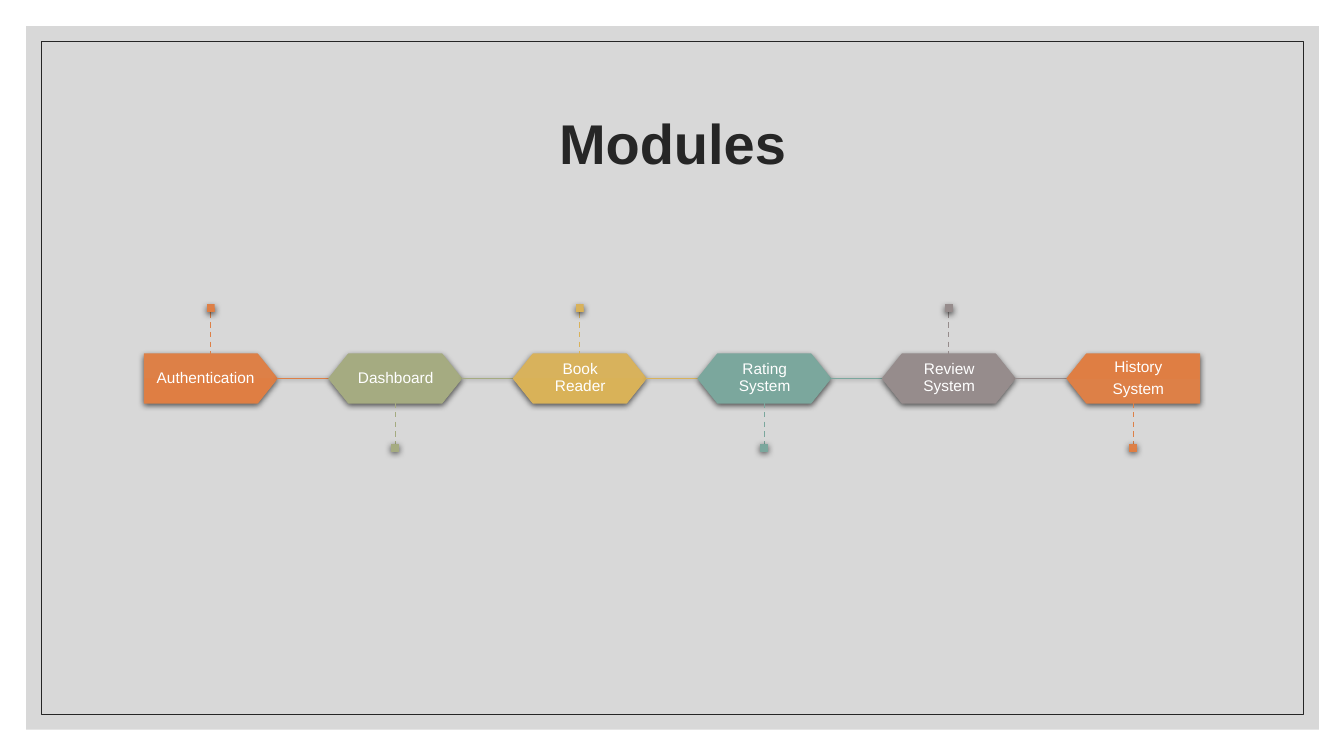
import pptx
import pptx.util
import pptx.dml.color
import pptx.enum.dml
import pptx.enum.shapes
import pptx.enum.text
import pptx.oxml
import pptx.oxml.ns

Inches, Pt = pptx.util.Inches, pptx.util.Pt
SHAPE = pptx.enum.shapes.MSO_SHAPE
STRAIGHT = pptx.enum.shapes.MSO_CONNECTOR.STRAIGHT
ALIGN = pptx.enum.text.PP_ALIGN
MIDDLE = pptx.enum.text.MSO_ANCHOR.MIDDLE


def color(hex_value):
    return pptx.dml.color.RGBColor.from_string(hex_value)


def set_effect(part, blur=0, distance=0):
    """Replace the theme shadow by a downward one, or by none when blur is 0."""
    properties = part._element.spPr
    for old in properties.findall(pptx.oxml.ns.qn("a:effectLst")):
        properties.remove(old)
    shadow = (f'<a:outerShdw blurRad="{Pt(blur)}" dist="{Pt(distance)}" dir="5400000" '
              'algn="ctr" rotWithShape="0"><a:srgbClr val="000000">'
              '<a:alpha val="63000"/></a:srgbClr></a:outerShdw>') if blur else ""
    properties.append(pptx.oxml.parse_xml(
        f'<a:effectLst {pptx.oxml.ns.nsdecls("a")}>{shadow}</a:effectLst>'))


deck = pptx.Presentation()
deck.slide_width, deck.slide_height = Inches(13.33), Inches(7.5)
slide = deck.slides.add_slide(deck.slide_layouts[5])
shapes = slide.shapes

# Title
title = shapes.title
title.left, title.top, title.width, title.height = map(Inches, (1.17, 0.7, 11, 1.5))
title.text_frame.text = "Modules"
title.text_frame.vertical_anchor = MIDDLE
heading = title.text_frame.paragraphs[0]
heading.alignment, heading.line_spacing = ALIGN.CENTER, 0.9
heading_format = {"name": "Arial", "size": Pt(40), "bold": True}
for key, value in heading_format.items():
    setattr(heading.font, key, value)
heading.font.color.rgb = color("262626")

# Grey panel and thin frame, behind the title
panel = shapes.add_shape(SHAPE.RECTANGLE, *map(Inches, (0.26, 0.26, 12.82, 6.98)))
panel.fill.solid()
panel.fill.fore_color.rgb = color("BFBFBF")
panel_color = panel._element.spPr.find(".//" + pptx.oxml.ns.qn("a:srgbClr"))
panel_color.append(pptx.oxml.parse_xml(
    f'<a:alpha {pptx.oxml.ns.nsdecls("a")} val="60000"/>'))
panel.line.fill.background()
frame = shapes.add_shape(SHAPE.RECTANGLE, *map(Inches, (0.41, 0.41, 12.52, 6.68)))
frame.fill.background()
frame.line.color.rgb = color("262626")
frame.line.width = Pt(0.5)
for backdrop in (panel, frame):
    backdrop.shadow.inherit = False
    title._element.addprevious(backdrop._element)

# Chain of modules: label, top colour, bottom colour
modules = [
    ("Authentication", "DD8047", "DF7E43"),
    ("Dashboard", "A5AB81", "A4AB7F"),
    ("Book Reader", "D8B25C", "D9B258"),
    ("Rating System", "7BA79D", "79A79C"),
    ("Review System", "968C8C", "958B8B"),
    ("History\nSystem", "DD8047", "DF7E43"),
]
FIRST_LEFT, PITCH = 1.43, 1.83
TOP, WIDTH, HEIGHT = 3.51, 1.32, 0.49
MID, PIN_LENGTH, PIN_HEAD = 3.75, 0.41, 0.08
LAST = len(modules) - 1
label_format = {"name": "Arial", "size": Pt(11)}

for index, (label, top_color, bottom_color) in enumerate(modules):
    left = FIRST_LEFT + index * PITCH
    center = left + WIDTH / 2
    at_end = index in (0, LAST)

    # Module block
    block = shapes.add_shape(SHAPE.PENTAGON if at_end else SHAPE.HEXAGON,
                             *map(Inches, (left, TOP, WIDTH, HEIGHT)))
    block.adjustments[0] = 0.4
    block.rotation = 180 if index == LAST else 0
    block.line.color.rgb = color(top_color)
    block.line.width = Pt(0.5)

    # Label
    if at_end:
        label_area = (left + (0.1 if index else 0), TOP, 1.22, HEIGHT)
    else:
        label_area = (left + 0.18, 3.57, 0.97, 0.36)
    label_box = shapes.add_textbox(*map(Inches, label_area)).text_frame
    label_box.text = label
    label_box.word_wrap = True
    label_box.vertical_anchor = MIDDLE
    for side in ("left", "top", "right", "bottom"):
        setattr(label_box, "margin_" + side, Inches(0.09))
    for line in label_box.paragraphs:
        line.alignment, line.line_spacing, line.space_after = ALIGN.CENTER, 0.9, Pt(4)
        for key, value in label_format.items():
            setattr(line.font, key, value)
        line.font.color.rgb = color("FFFFFF")

    # Link to the next module
    if index < LAST:
        link = shapes.add_connector(STRAIGHT, *map(
            Inches, (left + WIDTH, MID, left + PITCH, MID)))
        link.line.color.rgb = color(top_color)
        link.line.width = Pt(0.5)
        set_effect(link, 3, 1)

    # Dashed pin, alternately above and below
    pin_top = TOP + HEIGHT - 0.01 if index % 2 else TOP - PIN_LENGTH
    pin = shapes.add_connector(STRAIGHT, *map(
        Inches, (center, pin_top, center, pin_top + PIN_LENGTH)))
    pin.line.color.rgb = color(top_color)
    pin.line.width = Pt(1)
    pin.line.dash_style = pptx.enum.dml.MSO_LINE.DASH
    set_effect(pin)
    head_top = pin_top + PIN_LENGTH if index % 2 else pin_top - PIN_HEAD
    pin_head = shapes.add_shape(SHAPE.RECTANGLE, *map(
        Inches, (center - PIN_HEAD / 2, head_top, PIN_HEAD, PIN_HEAD)))
    pin_head.line.fill.background()

    # Shared gradient and shadow
    for solid in (block, pin_head):
        solid.fill.gradient()
        solid.fill.gradient_angle = 270
        for stop, shade in zip(solid.fill.gradient_stops, (top_color, bottom_color)):
            stop.color.rgb = color(shade)
        set_effect(solid, 4.5, 1.5)

deck.save("out.pptx")
